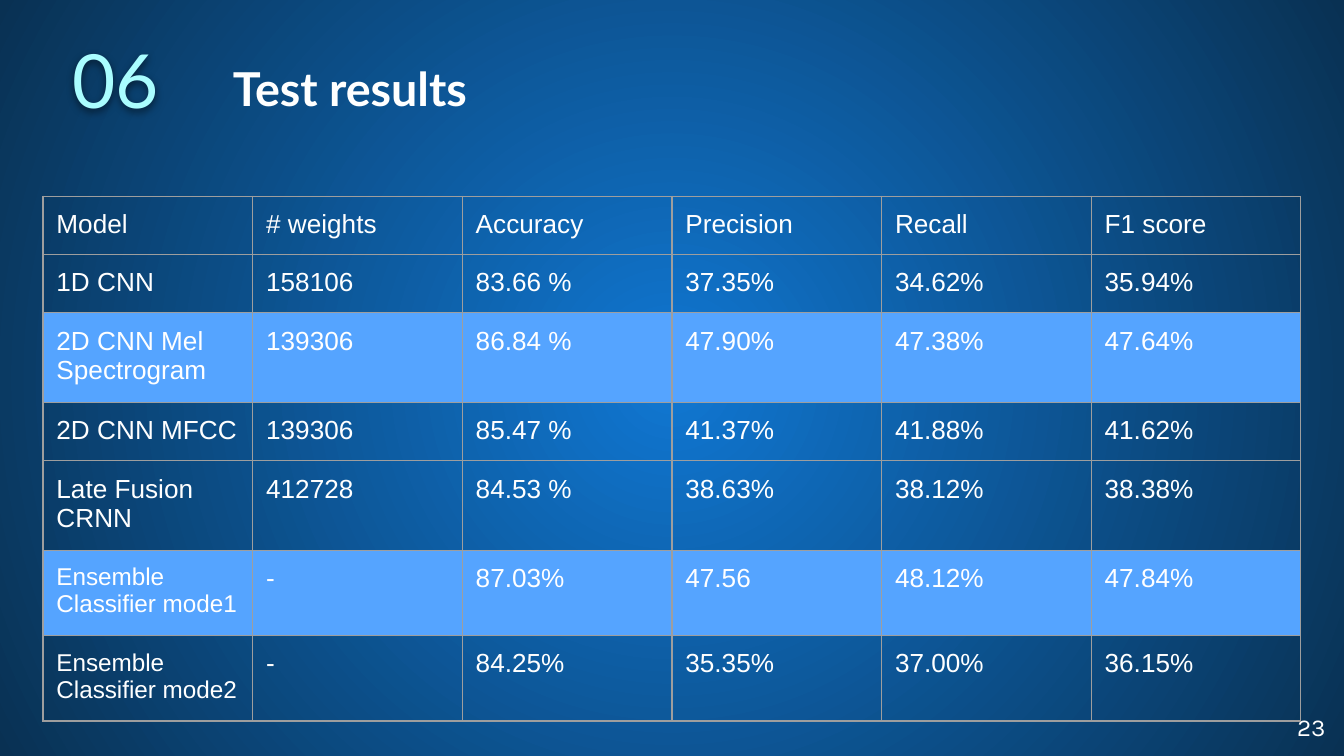
from dataclasses import dataclass

from lxml import etree
from pptx import Presentation
from pptx.dml.color import RGBColor
from pptx.enum.text import MSO_ANCHOR, PP_ALIGN
from pptx.oxml.ns import qn
from pptx.util import Inches, Pt

TOP, MIDDLE = MSO_ANCHOR.TOP, MSO_ANCHOR.MIDDLE
LEFT, RIGHT = PP_ALIGN.LEFT, PP_ALIGN.RIGHT

WIDTH, HEIGHT = Inches(10), Inches(10) * 9 // 16
PAD = Inches(0.1)
WHITE, CYAN, LIGHT = "FFFFFF", "AAFDFF", "55A4FF"
CENTRE, EDGE, GRID = "1077D2", "093153", "9E9E9E"


@dataclass
class Label:
    text: str
    box: tuple  # left, top, width, height as percent of the slide
    size: float
    font: str
    color: str = WHITE
    bold: bool = False
    anchor: int = MIDDLE
    align: int = LEFT
    shadow: bool = False


@dataclass
class Row:
    height: float
    cells: tuple
    size: float = 14  # size of the model name
    fill: str = ""


LABELS = [
    Label("06", (4.4, 2.67, 13.9, 15.47), 40, "Lato", CYAN, shadow=True),
    Label("Test results", (16.34, 6.1, 83.66, 11.2), 25, "Lato",
          bold=True, anchor=TOP),
    Label("23", (93.6, 92.3, 6, 7.65), 13, "Karla", align=RIGHT),
]

# Least heights: rows grow to hold their text
ONE, MID, TWO = 0.24, 0.28, 0.38
ROWS = [
    Row(ONE, ("Model", "# weights", "Accuracy", "Precision", "Recall",
              "F1 score")),
    Row(ONE, ("1D CNN", "158106", "83.66 %", "37.35%", "34.62%", "35.94%")),
    Row(TWO, ("2D CNN Mel Spectrogram", "139306", "86.84 %", "47.90%",
              "47.38%", "47.64%"), fill=LIGHT),
    Row(MID, ("2D CNN MFCC", "139306", "85.47 %", "41.37%", "41.88%",
              "41.62%")),
    Row(ONE, ("Late Fusion CRNN", "412728", "84.53 %", "38.63%", "38.12%",
              "38.38%")),
    Row(TWO, ("Ensemble Classifier mode1", "-", "87.03%", "47.56",
              "48.12%", "47.84%"), 13, LIGHT),
    Row(TWO, ("Ensemble Classifier mode2", "-", "84.25%", "35.35%",
              "37.00%", "36.15%"), 13),
]


def rgb(code: str) -> RGBColor:
    return RGBColor.from_string(code)


def node(parent, tag: str, **attrs: str):
    return etree.SubElement(parent, qn(tag), attrs)


def pad(part) -> None:
    part.margin_left = part.margin_right = PAD
    part.margin_top = part.margin_bottom = PAD


def style(frame, size: float, font: str, color: str, bold: bool) -> None:
    run = frame.paragraphs[0].runs[0]
    run.font.size, run.font.name, run.font.bold = Pt(size), font, bold
    run.font.color.rgb = rgb(color)


def paint(slide) -> None:
    """Fill the background with a gradient from the centre outwards."""
    fill = slide.background.fill
    fill.gradient()
    for stop, code in zip(fill.gradient_stops, (CENTRE, EDGE)):
        stop.color.rgb = rgb(code)
    grad = next(slide.element.iter(qn("a:gradFill")))
    grad.remove(grad.find(qn("a:lin")))
    path = node(grad, "a:path", path="circle")
    node(path, "a:fillToRect", l="50000", t="50000", r="50000", b="50000")


def shade(box) -> None:
    """Cast a soft shadow below the text of an unfilled box."""
    effects = node(box.element.spPr, "a:effectLst")
    shadow = node(effects, "a:outerShdw", blurRad="57150", dist="19050",
                  dir="5400000", algn="bl", rotWithShape="0")
    color = node(shadow, "a:srgbClr", val="000000")
    node(color, "a:alpha", val="50000")


def write(slide, label: Label) -> None:
    left, top, wide, high = label.box
    box = slide.shapes.add_textbox(
        round(left * WIDTH / 100), round(top * HEIGHT / 100),
        round(wide * WIDTH / 100), round(high * HEIGHT / 100))
    frame = box.text_frame
    frame.text = label.text
    frame.word_wrap = True
    frame.vertical_anchor = label.anchor
    pad(frame)
    frame.paragraphs[0].alignment = label.align
    style(frame, label.size, label.font, label.color, label.bold)
    if label.shadow:
        shade(box)


def border(cell) -> None:
    props = cell._tc.get_or_add_tcPr()
    for spot, side in enumerate("LRTB"):
        line = node(props, f"a:ln{side}", w=str(Pt(0.75)))
        node(node(line, "a:solidFill"), "a:srgbClr", val=GRID)
        props.insert(spot, line)  # borders come before the fill


def tabulate(slide, rows: list[Row]) -> None:
    count, side = len(rows[0].cells), Inches(3.28)
    holder = slide.shapes.add_table(
        len(rows), count, Inches(0.32), Inches(1.46), side, side)
    table = holder.table
    table.first_row = table.horz_banding = False
    for column in table.columns:
        column.width = Inches(1.56)
    for r, row in enumerate(rows):
        table.rows[r].height = Inches(row.height)
        for c, text in enumerate(row.cells):
            cell = table.cell(r, c)
            cell.text_frame.text = text
            pad(cell)
            style(cell.text_frame, 14 if c else row.size, "Arial", WHITE,
                  False)
            if row.fill:
                cell.fill.solid()
                cell.fill.fore_color.rgb = rgb(row.fill)
            else:
                cell.fill.background()
            border(cell)
    # The frame keeps its own size, whatever the rows and columns add up to
    holder.width = holder.height = side


def main() -> None:
    deck = Presentation()
    deck.slide_width, deck.slide_height = WIDTH, HEIGHT
    slide = deck.slides.add_slide(deck.slide_layouts[6])
    paint(slide)
    # Heading and page number
    for label in LABELS:
        write(slide, label)
    # Scores of each model
    tabulate(slide, ROWS)
    deck.save("out.pptx")


if __name__ == "__main__":
    main()
